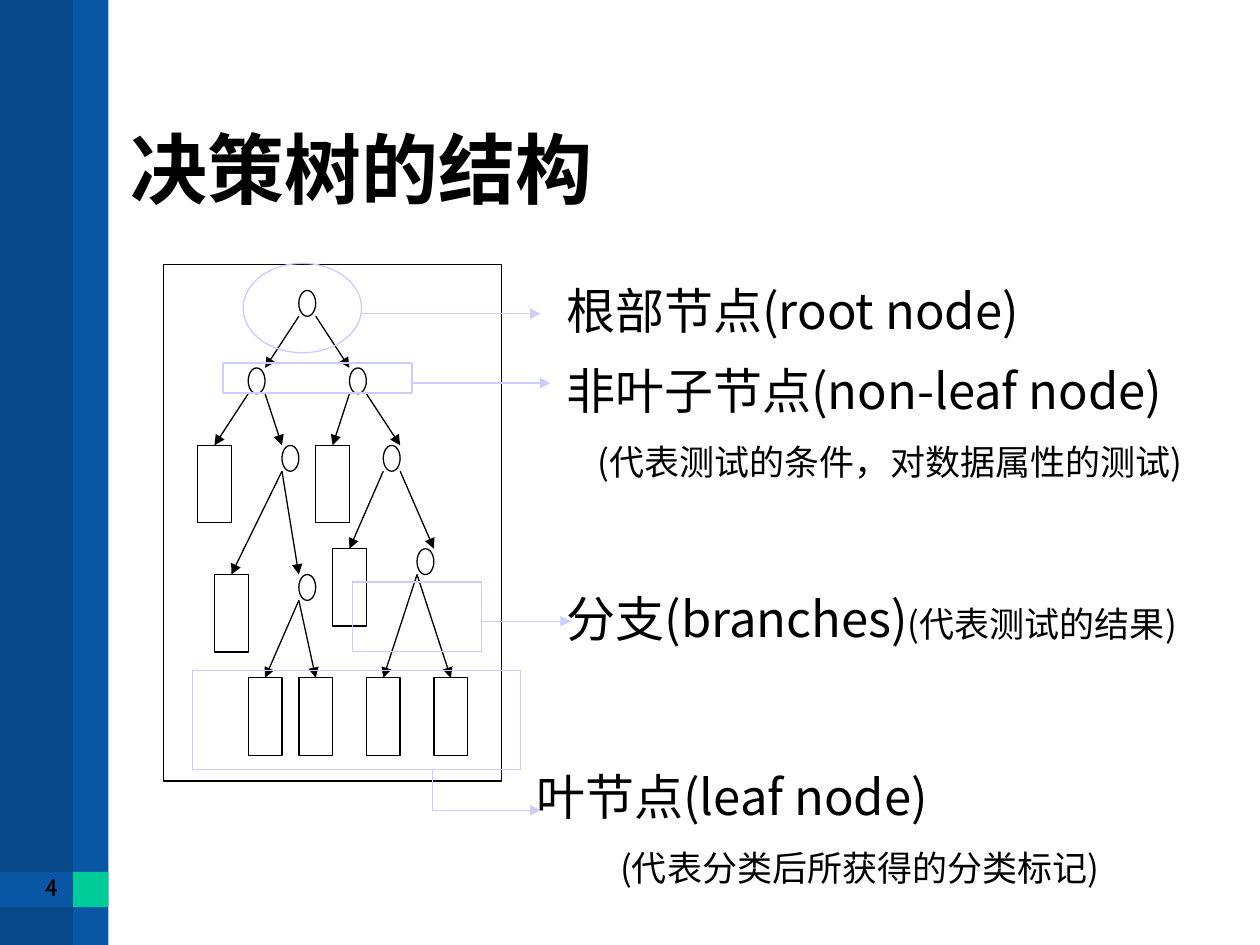
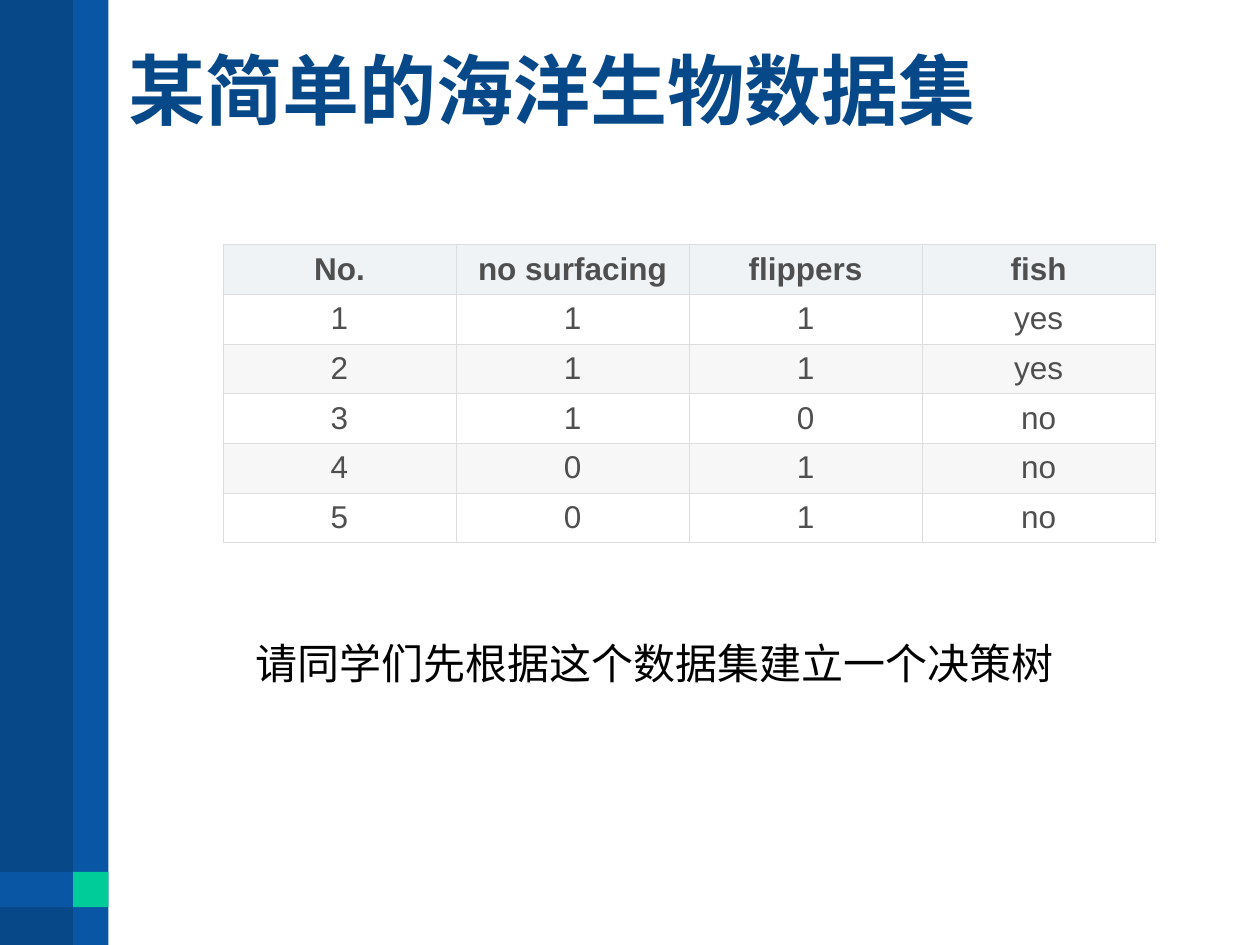
"""Build two slides on decision trees: the parts of a tree and a small data set."""
from lxml import etree
from pptx import Presentation
from pptx.dml.color import RGBColor
from pptx.enum.shapes import MSO_CONNECTOR, MSO_SHAPE
from pptx.enum.text import MSO_ANCHOR, MSO_AUTO_SIZE, PP_ALIGN
from pptx.oxml.ns import qn
from pptx.util import Pt

RECT, OVAL = MSO_SHAPE.RECTANGLE, MSO_SHAPE.OVAL
LINE = MSO_CONNECTOR.STRAIGHT
LEFT, CENTER = PP_ALIGN.LEFT, PP_ALIGN.CENTER
TOP, MIDDLE, BOTTOM = MSO_ANCHOR.TOP, MSO_ANCHOR.MIDDLE, MSO_ANCHOR.BOTTOM
GROW = MSO_AUTO_SIZE.SHAPE_TO_FIT_TEXT

NAVY = RGBColor(0x07, 0x48, 0x88)
BLUE = RGBColor(0x08, 0x56, 0xA4)
GREEN = RGBColor(0x00, 0xCC, 0x99)
LILAC = RGBColor(0xCC, 0xCC, 0xFF)
BLACK = RGBColor(0, 0, 0)
WHITE = RGBColor(255, 255, 255)
GRAY = RGBColor(0x4F, 0x4F, 0x4F)
HEAD = RGBColor(0xEF, 0xF3, 0xF5)
STRIPE = RGBColor(0xF7, 0xF7, 0xF7)
EDGE = RGBColor(0xDD, 0xDD, 0xDD)

NOTO, ARIAL, TIMES, CABIN = "Noto Sans CJK SC", "Arial", "Times New Roman", "Cabin"

BANDS = [
    ((0, 0, 59.76, 540), NAVY),
    ((41.76, 0, 20.16, 540), BLUE),
    ((0, 498.24, 59.76, 20.16), BLUE),
    ((41.76, 498.24, 20.16, 20.16), GREEN),
]

FRAME = (93.6, 151.2, 192.96, 295.2)
UNIT_X, UNIT_Y = FRAME[2] / 20, FRAME[3] / 20
NODES = [(8, 1), (5, 4), (11, 4), (7, 7), (13, 7), (8, 12), (15, 11)]
LEAVES = [(2, 7), (9, 7), (3, 12), (10, 11), (5, 16), (8, 16), (12, 16), (16, 16)]
BRANCHES = [
    ((8, 2), (6, 4)), ((9, 2), (11, 4)),
    ((5, 5), (3, 7)), ((6, 5), (7, 7)),
    ((11, 5), (10, 7)), ((12, 5), (14, 7)),
    ((7, 8), (4, 12)), ((7, 8), (8, 12)),
    ((13, 8), (11, 11)), ((14, 8), (16, 11)),
    ((8, 13), (6, 16)), ((8, 13), (9, 16)),
    ((15, 12), (13, 16)), ((15, 12), (17, 16)),
]

MARKS = [
    (OVAL, (138.96, 150.5, 67.7, 51.1)),
    (RECT, (127.44, 207.4, 108, 17.3)),
    (RECT, (201.6, 332.6, 73.4, 39.6)),
    (RECT, (110.2, 383.04, 187.2, 56.9)),
]
POINTERS = [
    ((206.6, 179.3), (308.9, 179.3), True),
    ((235.4, 218.9), (314.6, 218.9), True),
    ((275, 355), (326.2, 355), True),
    ((247, 439.9), (247, 463), False),
    ((247, 463), (308.9, 463), True),
]
NOTES = [
    ((280.8, 157, 379.4, 41), [(LEFT, 17.5, [("根部节点(root node)", 28, NOTO)])]),
    ((280.8, 202.3, 419.8, 77.8), [
        (LEFT, 17.5, [("非叶子节点(non-leaf node)", 28, NOTO)]),
        (CENTER, 12.5, [("(代表测试的条件，对", 20, NOTO),
                        ("数据属性的测试", 20, ARIAL), (")", 20, NOTO)]),
    ]),
    ((280.8, 332.6, 419.8, 41), [
        (LEFT, 12.5, [("分支(branches)", 28, NOTO), ("(代表测试的结果)", 20, NOTO)]),
    ]),
    ((263.5, 434.2, 419.8, 77.8), [
        (LEFT, 17.5, [("叶节点(leaf node)", 28, NOTO)]),
        (CENTER, 12.5, [("(代表分类后所获得的分类标记)", 20, NOTO)]),
    ]),
]

DATA = [
    ["No.", "no surfacing", "flippers", "fish"],
    ["1", "1", "1", "yes"],
    ["2", "1", "1", "yes"],
    ["3", "1", "0", "no"],
    ["4", "0", "1", "no"],
    ["5", "0", "1", "no"],
]
GRID = (127.4, 139.7, 532.8, 165.6)


def pts(nums):
    return [Pt(num) for num in nums]


def style(thing, **values):
    for name, value in values.items():
        setattr(thing, name, value)


def add_run(para, text, size, face, color=BLACK, bold=False):
    run = para.add_run()
    run.text = text
    style(run.font, size=Pt(size), name=face, bold=bold)
    run.font.color.rgb = color
    east = etree.SubElement(run.font._element, qn("a:ea"))
    east.set("typeface", NOTO)


def add_box(shapes, kind, place, fill=None, line=None):
    box = shapes.add_shape(kind, *pts(place))
    box.shadow.inherit = False
    if fill is None:
        box.fill.background()
    else:
        box.fill.solid()
        box.fill.fore_color.rgb = fill
    if line is None:
        box.line.fill.background()
    else:
        box.line.color.rgb = line
        box.line.width = Pt(0.75)
    return box


def add_line(shapes, start, end, color, arrow=True):
    link = shapes.add_connector(LINE, *pts(start + end))
    link.line.color.rgb = color
    link.line.width = Pt(0.75)
    if arrow:
        tip = etree.SubElement(link.line._get_or_add_ln(), qn("a:tailEnd"))
        tip.set("type", "triangle")
    etree.SubElement(link._element.spPr, qn("a:effectLst"))
    return link


def add_text(slide, place, anchor=TOP, **values):
    frame = slide.shapes.add_textbox(*pts(place)).text_frame
    style(frame, word_wrap=True, vertical_anchor=anchor, **values)
    return frame


def add_slide(deck, title, place, anchor, color, face, foot):
    slide = deck.slides.add_slide(deck.slide_layouts[6])
    for band, fill in BANDS:
        add_box(slide.shapes, RECT, band, fill)
    para = add_text(slide, place, anchor, margin_bottom=Pt(foot)).paragraphs[0]
    para.line_spacing = Pt(32)
    add_run(para, title, 44, face, color, True)
    return slide


def add_number(slide, text):
    frame = add_box(slide.shapes, OVAL, (11.5, 488.9, 36, 36)).text_frame
    style(frame, word_wrap=False, vertical_anchor=MIDDLE, margin_left=0,
          margin_right=0, margin_top=0, margin_bottom=0)
    frame.paragraphs[0].alignment = CENTER
    add_run(frame.paragraphs[0], text, 14, CABIN)


def spot(col, row):
    return FRAME[0] + col * UNIT_X, FRAME[1] + row * UNIT_Y


def add_tree(slide):
    shapes = slide.shapes.add_group_shape().shapes
    add_box(shapes, RECT, FRAME, line=BLACK)
    for node in NODES:
        add_box(shapes, OVAL, spot(*node) + (UNIT_X, UNIT_Y), WHITE, BLACK)
    tops = {}
    for col, row in LEAVES:
        place = spot(col, row) + (2 * UNIT_X, 3 * UNIT_Y)
        tops[col + 1, row] = add_box(shapes, RECT, place, WHITE, BLACK)
    for start, end in BRANCHES:
        link = add_line(shapes, spot(*start), spot(*end), BLACK)
        if end in tops:
            link.end_connect(tops[end], 0)


def add_note(slide, place, lines):
    frame = add_text(slide, place, auto_size=GROW)
    for i, (align, gap, runs) in enumerate(lines):
        para = frame.add_paragraph() if i else frame.paragraphs[0]
        style(para, alignment=align, space_before=Pt(gap))
        props = para._p.get_or_add_pPr()
        props.set("marL", str(Pt(58.5)))
        props.set("indent", str(Pt(-22.5)))
        for run in runs:
            add_run(para, *run)


def add_edges(cell):
    props = cell._tc.get_or_add_tcPr()
    for side in ("lnL", "lnR", "lnT", "lnB"):
        edge = etree.SubElement(props, qn("a:" + side), w=str(Pt(0.17)))
        fill = etree.SubElement(edge, qn("a:solidFill"))
        etree.SubElement(fill, qn("a:srgbClr"), val=str(EDGE))


def add_grid(slide):
    table = slide.shapes.add_table(len(DATA), len(DATA[0]), *pts(GRID)).table
    for r, row in enumerate(DATA):
        table.rows[r].height = Pt(GRID[3] / len(DATA))
        for c, text in enumerate(row):
            cell = table.cell(r, c)
            style(cell, vertical_anchor=MIDDLE, margin_left=Pt(3), margin_right=Pt(3),
                  margin_top=Pt(3.4), margin_bottom=Pt(3.4))
            add_edges(cell)
            cell.fill.solid()
            cell.fill.fore_color.rgb = HEAD if r == 0 else WHITE if r % 2 else STRIPE
            para = cell.text_frame.paragraphs[0]
            para.alignment = CENTER
            add_run(para, text, 18, ARIAL, GRAY, r == 0)


def main():
    deck = Presentation()
    style(deck, slide_width=Pt(720), slide_height=Pt(540))

    slide = add_slide(deck, "决策树的结构", (67.7, 39.6, 612, 90), BOTTOM, BLACK, NOTO, 7.2)
    add_number(slide, "4")
    add_tree(slide)
    for kind, place in MARKS:
        add_box(slide.shapes, kind, place, line=LILAC)
    for start, end, arrow in POINTERS:
        add_line(slide.shapes, start, end, LILAC, arrow)
    for place, lines in NOTES:
        add_note(slide, place, lines)

    slide = add_slide(deck, "某简单的海洋生物数据集", (66.2, 15.8, 630, 90), MIDDLE, NAVY, ARIAL, 3.6)
    add_grid(slide)
    frame = add_text(slide, (139, 360.7, 527, 36), auto_size=GROW)
    add_run(frame.paragraphs[0], "请同学们先根据这个数据集建立一个决策树", 24, TIMES)

    deck.save("out.pptx")


if __name__ == "__main__":
    main()
